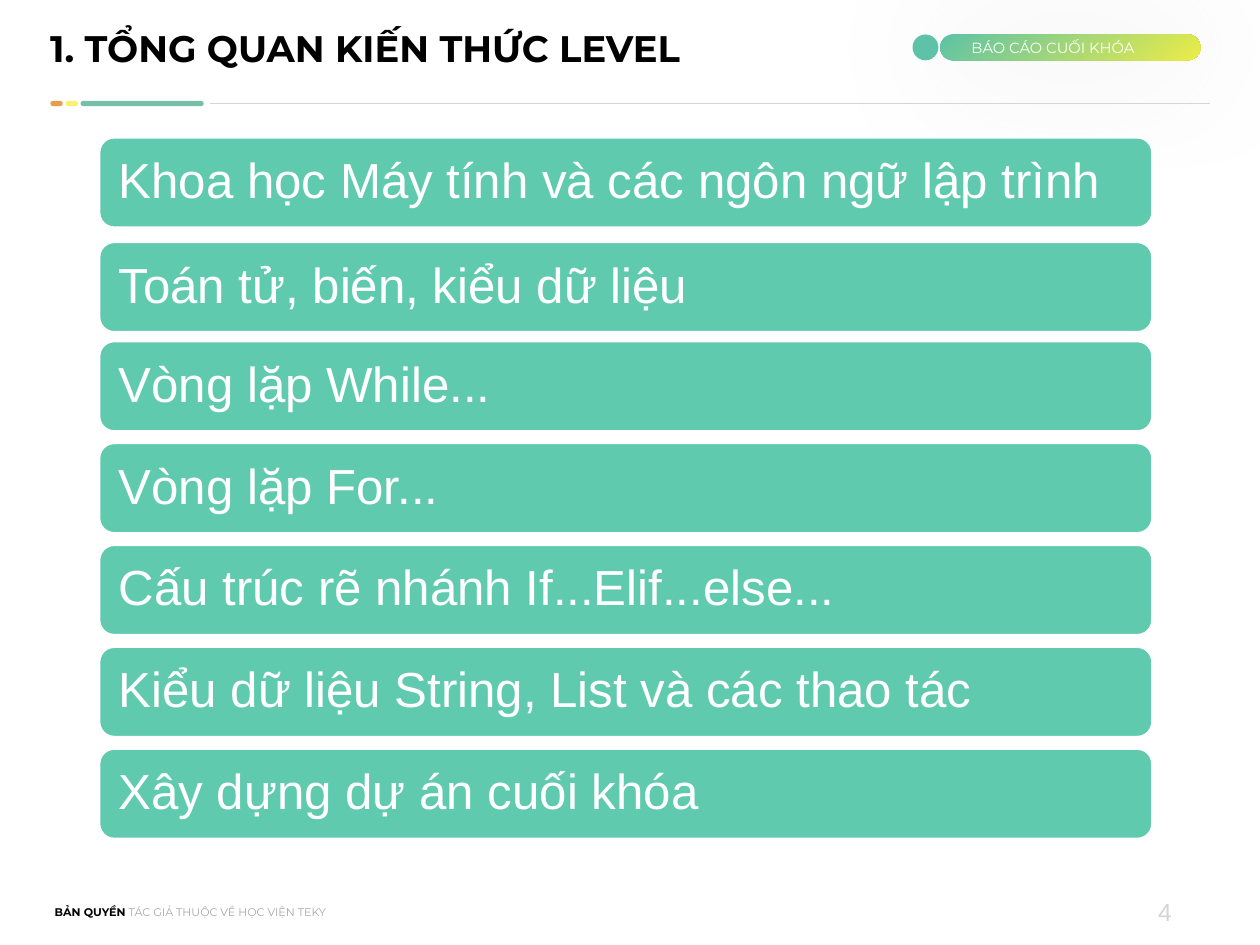
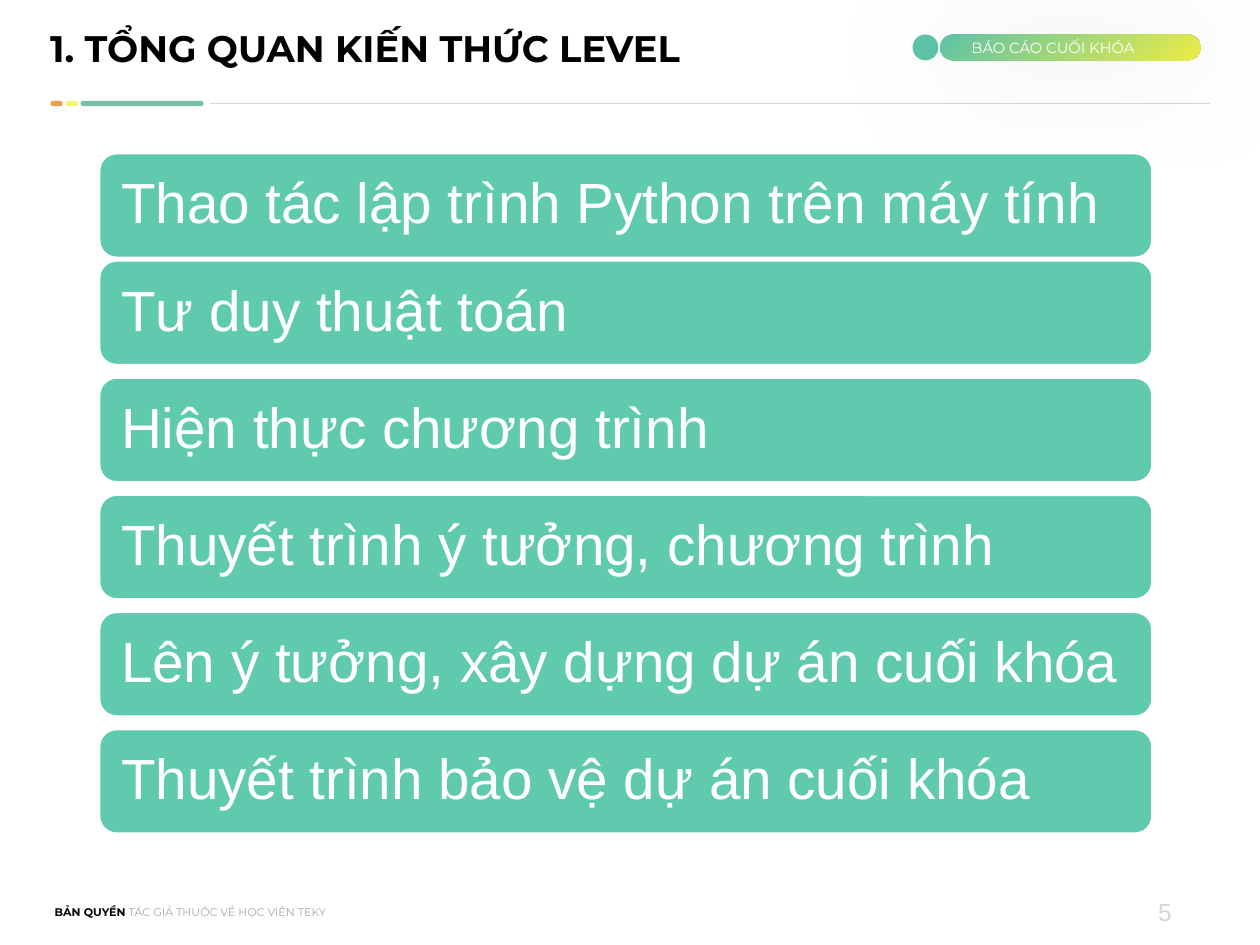
from lxml.etree import SubElement
from pptx import Presentation
from pptx.dml.color import RGBColor
from pptx.enum.shapes import MSO_CONNECTOR, MSO_SHAPE
from pptx.enum.text import MSO_ANCHOR, MSO_AUTO_SIZE, PP_ALIGN
from pptx.oxml.ns import qn
from pptx.util import Pt

# Colours and fonts
BLACK = RGBColor(0x00, 0x00, 0x00)
WHITE = RGBColor(0xFF, 0xFF, 0xFF)
GREEN = RGBColor(0x5D, 0xC2, 0xA7)
YELLOW = RGBColor(0xEC, 0xEC, 0x47)
BAR_GREEN = RGBColor(0x60, 0xCA, 0xAF)
DASH_GREEN = RGBColor(0x76, 0xBF, 0xA9)
DASH_YELLOW = RGBColor(0xF7, 0xF2, 0x70)
DASH_ORANGE = RGBColor(0xE8, 0x9E, 0x4D)
LIGHT_GREY = RGBColor(0xD6, 0xD5, 0xD5)
FOOTER_GREY = RGBColor(0xA7, 0xA7, 0xA7)
SHADOW_GREY = "BFBFBF"
HEADING_FONT = "Montserrat"
BODY_FONT = "Arial"

# Text formats
TITLE = {"name": HEADING_FONT, "size": Pt(30), "bold": True, "color": BLACK}
TAG = {"name": HEADING_FONT, "size": Pt(12), "color": WHITE}
OWNER = {"name": HEADING_FONT, "size": Pt(9), "bold": True, "color": BLACK}
RIGHTS = {**OWNER, "bold": False, "color": FOOTER_GREY}
NUMBER = {"name": BODY_FONT, "size": Pt(20), "color": LIGHT_GREY}
BAR = {"name": BODY_FONT, "color": WHITE}

BAR_LEFT, BAR_WIDTH = 80.6, 856

# Each nudge moves one bar, by its index, off the equal spacing
SLIDES = [
    {
        "number": "4", "top": 111.6, "pitch": 82.8, "height": 73.4,
        "size": 40, "inset": 12.24, "nudges": {1: 2.2},
        "topics": [
            "Khoa học Máy tính và các ngôn ngữ lập trình",
            "Toán tử, biến, kiểu dữ liệu",
            "Vòng lặp While...",
            "Vòng lặp For...",
            "Cấu trúc rẽ nhánh If...Elif...else...",
            "Kiểu dữ liệu String, List và các thao tác",
            "Xây dựng dự án cuối khóa",
        ],
    },
    {
        "number": "5", "top": 116.5, "pitch": 95.2, "height": 85,
        "size": 46, "inset": 13.7, "nudges": {0: 8},
        "topics": [
            "Thao tác lập trình Python trên máy tính",
            "Tư duy thuật toán",
            "Hiện thực chương trình",
            "Thuyết trình ý tưởng, chương trình",
            "Lên ý tưởng, xây dựng dự án cuối khóa",
            "Thuyết trình bảo vệ dự án cuối khóa",
        ],
    },
]


def format_font(font, values):
    for name, value in values.items():
        if name == "color":
            font.color.rgb = value
        else:
            setattr(font, name, value)


def write_text(shape, runs, align=PP_ALIGN.LEFT, anchor=MSO_ANCHOR.MIDDLE,
               insets=(4, 4), wrap=True):
    """Fill the shape with one paragraph of (text, format) runs."""
    frame = shape.text_frame
    horizontal, vertical = (Pt(inset) for inset in insets)
    settings = {
        "word_wrap": wrap, "auto_size": MSO_AUTO_SIZE.NONE,
        "vertical_anchor": anchor,
        "margin_left": horizontal, "margin_right": horizontal,
        "margin_top": vertical, "margin_bottom": vertical,
    }
    for name, value in settings.items():
        setattr(frame, name, value)
    paragraph = frame.paragraphs[0]
    paragraph.alignment = align
    for text, values in runs:
        run = paragraph.add_run()
        run.text = text
        format_font(run.font, values)
    return paragraph


def add_text(slide, box, runs, **options):
    shape = slide.shapes.add_textbox(*map(Pt, box))
    write_text(shape, runs, **options)


def add_block(slide, kind, box, color, rounding=None):
    shape = slide.shapes.add_shape(kind, *map(Pt, box))
    shape.shadow.inherit = False
    shape.fill.solid()
    shape.fill.fore_color.rgb = color
    shape.line.fill.background()
    if rounding is not None:
        shape.adjustments[0] = rounding
    return shape


def add_glow(shape):
    """Put a wide, soft shadow behind the shape."""
    effects = shape._element.spPr.find(qn("a:effectLst"))
    shadow = SubElement(effects, qn("a:outerShdw"), blurRad=str(Pt(100)),
                        dist="0", dir="0", algn="ctr", rotWithShape="0")
    color = SubElement(shadow, qn("a:srgbClr"), val=SHADOW_GREY)
    SubElement(color, qn("a:alpha"), val="40000")


def add_tag(slide):
    pill = add_block(slide, MSO_SHAPE.ROUNDED_RECTANGLE,
                     (764, 28, 211.6, 21), GREEN, 0.5)
    pill.fill.gradient()
    pill.fill.gradient_angle = 310
    for stop, position, color in zip(pill.fill.gradient_stops, (0, 1), (GREEN, YELLOW)):
        stop.position = position
        stop.color.rgb = color
    add_glow(pill)
    add_block(slide, MSO_SHAPE.OVAL, (741.6, 28, 21, 21), GREEN)
    add_text(slide, (765.4, 27.4, 180.7, 22.3), [("BÁO CÁO CUỐI KHÓA", TAG)],
             align=PP_ALIGN.CENTER, anchor=MSO_ANCHOR.TOP)


def add_divider(slide):
    line = slide.shapes.add_connector(
        MSO_CONNECTOR.STRAIGHT, Pt(170.6), Pt(84.2), Pt(983.5), Pt(84.2))
    line.line.color.rgb = LIGHT_GREY
    line.line.width = Pt(0.75)
    SubElement(line._element.spPr, qn("a:effectLst"))
    for left, width, color in ((65.5, 100, DASH_GREEN), (53.3, 10, DASH_YELLOW),
                               (41, 10, DASH_ORANGE)):
        add_block(slide, MSO_SHAPE.ROUNDED_RECTANGLE,
                  (left, 82, width, 4.3), color, 0.5)


def add_frame(slide, number):
    """Add the title, tag, divider and footer that every slide has."""
    title = slide.shapes.title
    title.left, title.top, title.width, title.height = map(Pt, (36.7, 16.5, 568, 44.6))
    write_text(title, [("1. TỔNG QUAN KIẾN THỨC LEVEL", TITLE)])
    add_tag(slide)
    add_divider(slide)
    add_text(slide, (40.5, 732.2, 532.8, 18),
             [("BẢN QUYỀN ", OWNER), ("TÁC GIẢ THUỘC VỀ HỌC VIỆN TEKY", RIGHTS)])
    add_text(slide, (936.7, 725, 20.2, 31.7), [(number, NUMBER)],
             align=PP_ALIGN.CENTER, anchor=MSO_ANCHOR.TOP, wrap=False)


def add_topic_bars(slide, content):
    values = {**BAR, "size": Pt(content["size"])}
    for index, topic in enumerate(content["topics"]):
        top = content["top"] + index * content["pitch"] + content["nudges"].get(index, 0)
        bar = add_block(slide, MSO_SHAPE.ROUNDED_RECTANGLE,
                        (BAR_LEFT, top, BAR_WIDTH, content["height"]), BAR_GREEN)
        bar.line.color.rgb = WHITE
        bar.line.width = Pt(2)
        paragraph = write_text(bar, [(topic, values)], insets=(content["inset"], 0))
        paragraph.line_spacing = 0.9


def main():
    presentation = Presentation()
    presentation.slide_width, presentation.slide_height = Pt(1024), Pt(768)
    title_only = presentation.slide_layouts[5]
    for content in SLIDES:
        slide = presentation.slides.add_slide(title_only)
        add_frame(slide, content["number"])
        add_topic_bars(slide, content)
    presentation.save("out.pptx")


if __name__ == "__main__":
    main()
